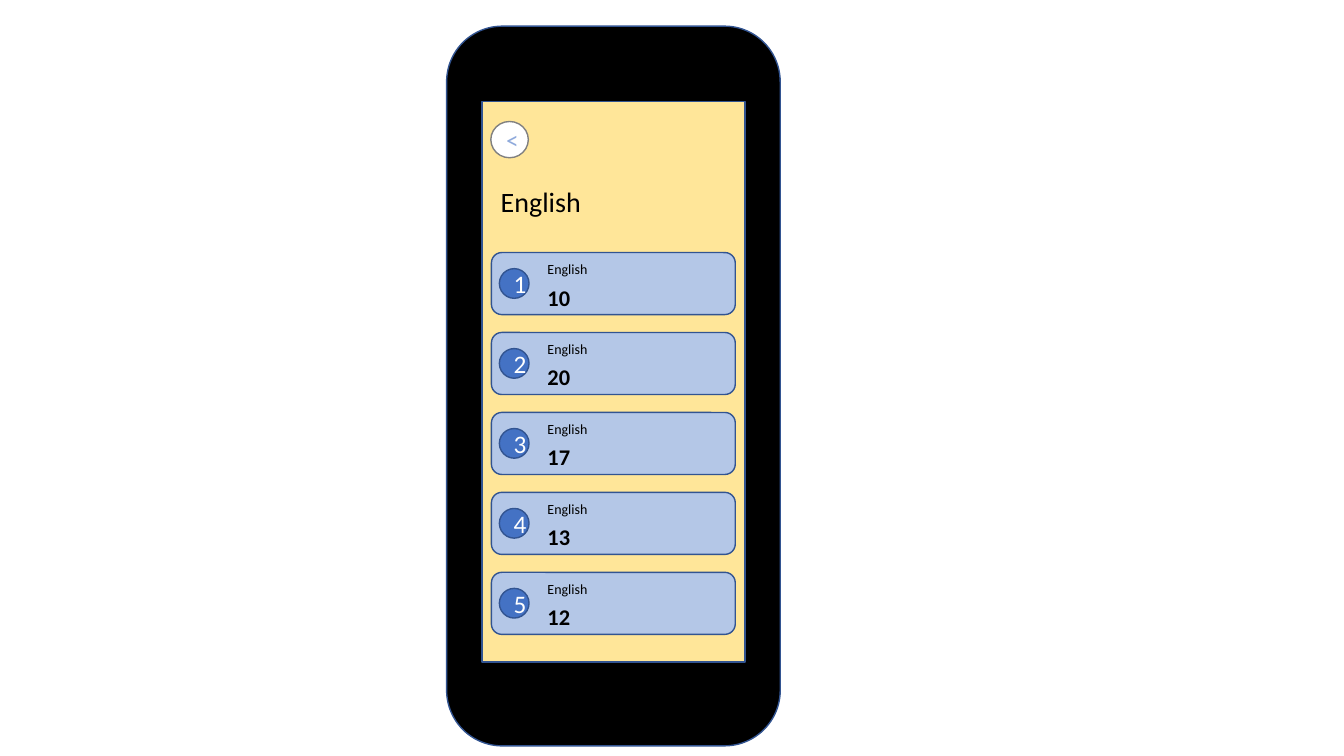
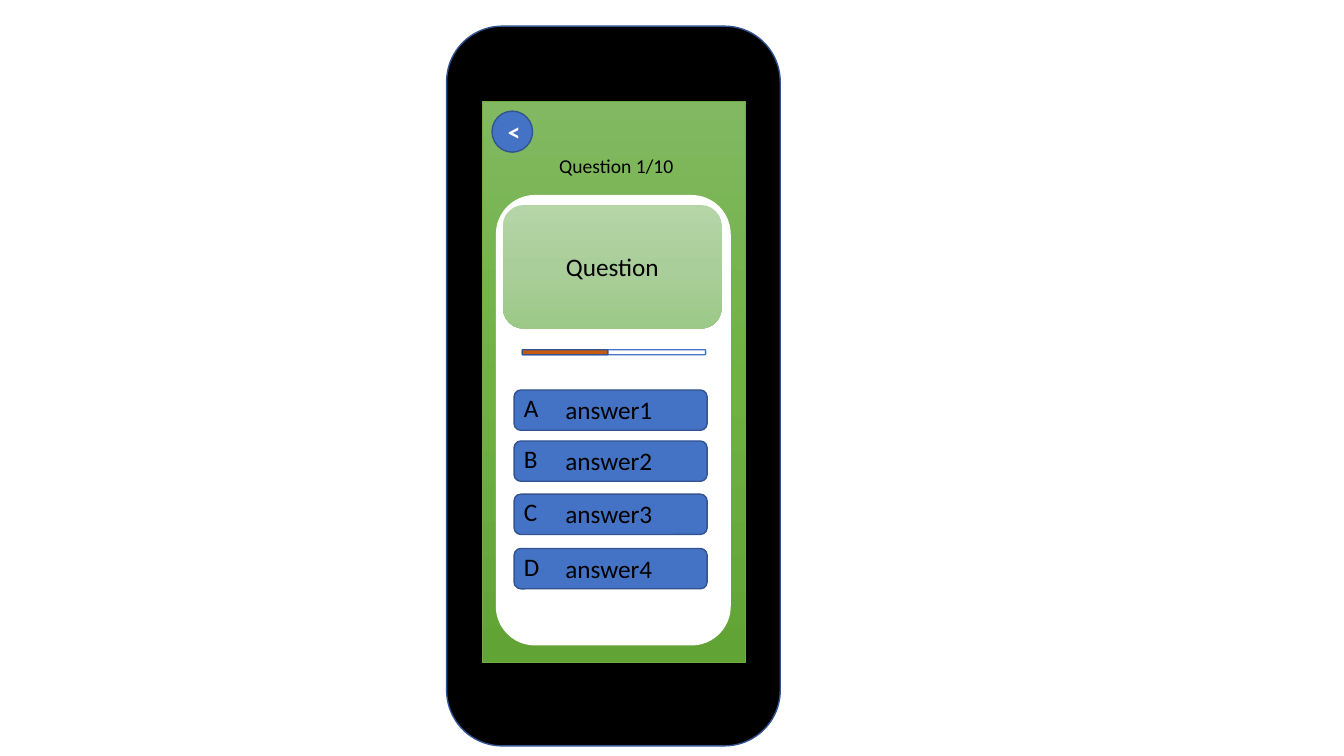
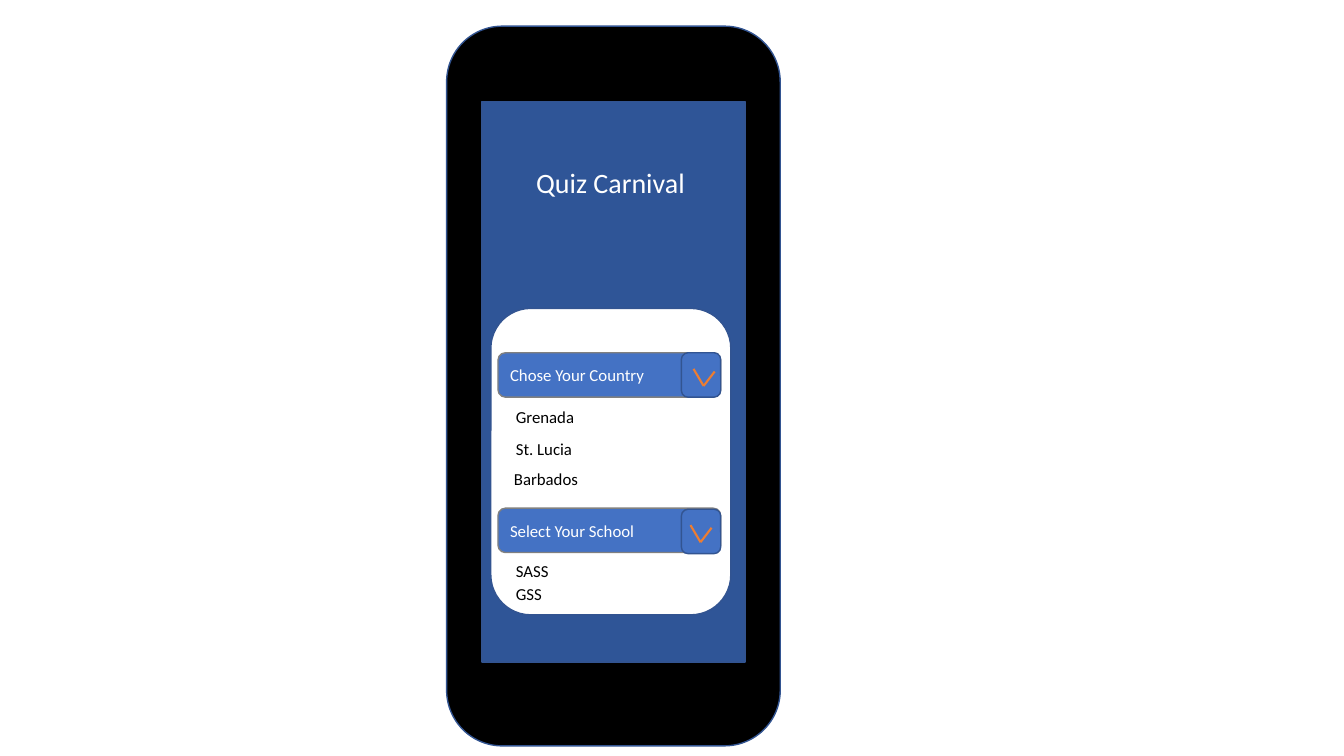
import pptx
import pptx.dml.color
import pptx.enum.shapes
import pptx.enum.text
import pptx.oxml.ns
import pptx.util
import copy
import lxml.etree

SHAPES = pptx.enum.shapes.MSO_SHAPE
ALIGN = pptx.enum.text.PP_ALIGN
ANCHOR = pptx.enum.text.MSO_ANCHOR
AUTO_SIZE = pptx.enum.text.MSO_AUTO_SIZE
Pt = pptx.util.Pt
qn = pptx.oxml.ns.qn

BLACK = "000000"
WHITE = "FFFFFF"
BLUE = "4472C4"
NAVY = "325491"
GREY = "808080"
ORANGE = "ED7D31"


def color(value):
    return pptx.dml.color.RGBColor.from_string(value)


class PhoneDeck:
    font_name = "Calibri"
    phone_area = (319, 18.7, 238.3, 514.1)
    screen_area = (344.2, 72.7, 187.9, 400.3)

    def __init__(self):
        self.deck = pptx.Presentation()
        self.deck.slide_width = Pt(960)
        self.deck.slide_height = Pt(540)
        self.page = None

    def add_phone(self, screen_fill, line=NAVY, line_width=1):
        self.page = self.deck.slides.add_slide(self.deck.slide_layouts[6])
        self.add_box(self.phone_area, BLACK)
        self.add_box(self.screen_area, screen_fill, line, line_width, SHAPES.RECTANGLE)

    def add_box(self, area, fill, line=NAVY, line_width=1, kind=SHAPES.ROUNDED_RECTANGLE):
        box = self.page.shapes.add_shape(kind, *map(Pt, area))
        box.shadow.inherit = False
        if isinstance(fill, str):
            box.fill.solid()
            box.fill.fore_color.rgb = color(fill)
        else:
            self.fill_gradient(box, fill)
        if line:
            box.line.color.rgb = color(line)
            box.line.width = Pt(line_width)
        else:
            box.line.fill.background()
        return box

    def fill_gradient(self, box, values):
        box.fill.gradient()
        box.fill.gradient_angle = 270
        stop_list = next(box.element.iter(qn("a:gsLst")))
        while len(stop_list) < len(values):
            stop_list.append(copy.deepcopy(stop_list[0]))
        for index, (stop, value) in enumerate(zip(box.fill.gradient_stops, values)):
            stop.position = index / (len(values) - 1)
            stop.color.rgb = color(value)

    def set_text(self, box, text, size, text_color=BLACK, align=ALIGN.LEFT, **formats):
        frame = box.text_frame
        frame.word_wrap = True
        para = frame.paragraphs[0]
        para.alignment = align
        span = para.add_run()
        span.text = text
        span.font.color.rgb = color(text_color)
        for name, value in {"name": self.font_name, "size": Pt(size), **formats}.items():
            setattr(span.font, name, value)

    def add_label(self, area, text, size, text_color=BLACK, **formats):
        box = self.page.shapes.add_textbox(*map(Pt, area))
        self.set_text(box, text, size, text_color, **formats)
        box.text_frame.auto_size = AUTO_SIZE.SHAPE_TO_FIT_TEXT

    def add_button(self, area, text, fill=BLUE, line=NAVY, size=18, text_color=WHITE,
                   align=ALIGN.CENTER, kind=SHAPES.ROUNDED_RECTANGLE, **formats):
        box = self.add_box(area, fill, line, kind=kind)
        box.text_frame.vertical_anchor = ANCHOR.MIDDLE
        self.set_text(box, text, size, text_color, align, **formats)

    def add_line(self, start, end):
        line = self.page.shapes.add_connector(
            pptx.enum.shapes.MSO_CONNECTOR.STRAIGHT, *map(Pt, start + end))
        line.line.color.rgb = color(ORANGE)
        line.line.width = Pt(1.5)
        lxml.etree.SubElement(line.element.spPr, qn("a:effectLst"))

    def add_chevron(self, left, top):
        tip = (left + 7.2, top + 12.2)
        self.add_line((left, top), tip)
        self.add_line(tip, (left + 15.1, top + 1.9))

    def add_score_row(self, rank, top, score):
        self.add_box((351, top, 174.2, 44.3), "B4C7E7")
        self.add_button((356.7, top + 11.5, 21.2, 21.2), str(rank), kind=SHAPES.OVAL)
        self.add_label((384, top + 2.4, 69.8, 19.4), "English", 10)
        self.add_label((384, top + 18.7, 69.8, 26.6), score, 16, bold=True)

    def add_answer(self, letter, top, text):
        self.add_box((367.2, top, 137.9, 28.8), BLUE)
        self.add_label((367.2, top - 1.8, 20.2, 29), letter, 18)
        self.add_label((396.7, top - 0.4, 85.7, 29), text, 18)

    def add_dropdown(self, top, text, button_top, chevron):
        self.add_button((355.7, top, 159.1, 31.7), text, line=GREY, size=12, align=ALIGN.LEFT)
        self.add_box((486.7, button_top, 28.1, 31.7), BLUE)
        self.add_chevron(*chevron)


def build_scores(phone):
    phone.add_phone("FFE699")
    phone.add_button((350.6, 86.8, 26.8, 25.9), "<", WHITE, GREY,
                     text_color="8FAADC", kind=SHAPES.OVAL)
    phone.add_label((350.6, 128.2, 99.4, 31.7), "English", 20)
    for index, score in enumerate(("10", "20", "17", "13", "12")):
        phone.add_score_row(index + 1, 180.4 + index * 57.1, score)


def build_question(phone):
    phone.add_phone(("81B861", "6FB242", "62A336"), "70AD47", 0.5)
    phone.add_button((351.4, 79.4, 29, 29.3), "<", kind=SHAPES.OVAL, bold=True)
    phone.add_box((354.2, 139.3, 167.8, 321.8), WHITE, None)
    phone.add_button((359.3, 146.5, 156.2, 88.2), "Question",
                     ("B5D5A7", "AACE9A", "9CC987"), None, text_color=BLACK)
    for width, fill, line in ((131, WHITE, BLUE), (61.2, "C55A11", NAVY)):
        phone.add_box((373, 249.8, width, 3.6), fill, line)
    for number, (letter, top) in enumerate(zip("ABCD", (278.6, 315, 353, 391.8)), 1):
        phone.add_answer(letter, top, f"answer{number}")
    phone.add_label((392.4, 106.6, 167.8, 24.5), "Question 1/10", 14)


def build_welcome(phone):
    phone.add_phone("2F5597")
    phone.add_label((375.8, 114.5, 128.9, 31.7), "Quiz Carnival", 20, WHITE)
    phone.add_box((350.6, 220.3, 171.4, 218.9), WHITE)
    phone.add_dropdown(252, "Chose Your Country", 252, (495.4, 263.5))
    phone.add_dropdown(363, "Select Your School", 363.8, (493.2, 375.1))
    options = (("Grenada", 361.4, 287.3), ("St. Lucia", 361.4, 310.1),
               ("Barbados", 360, 331.4), ("SASS", 361.4, 396.7), ("GSS", 361.4, 413.5))
    for text, left, top in options:
        phone.add_label((left, top, 166.3, 21.6), text, 12)


def main():
    phone = PhoneDeck()
    build_scores(phone)
    build_question(phone)
    build_welcome(phone)
    phone.deck.save("out.pptx")


if __name__ == "__main__":
    main()
